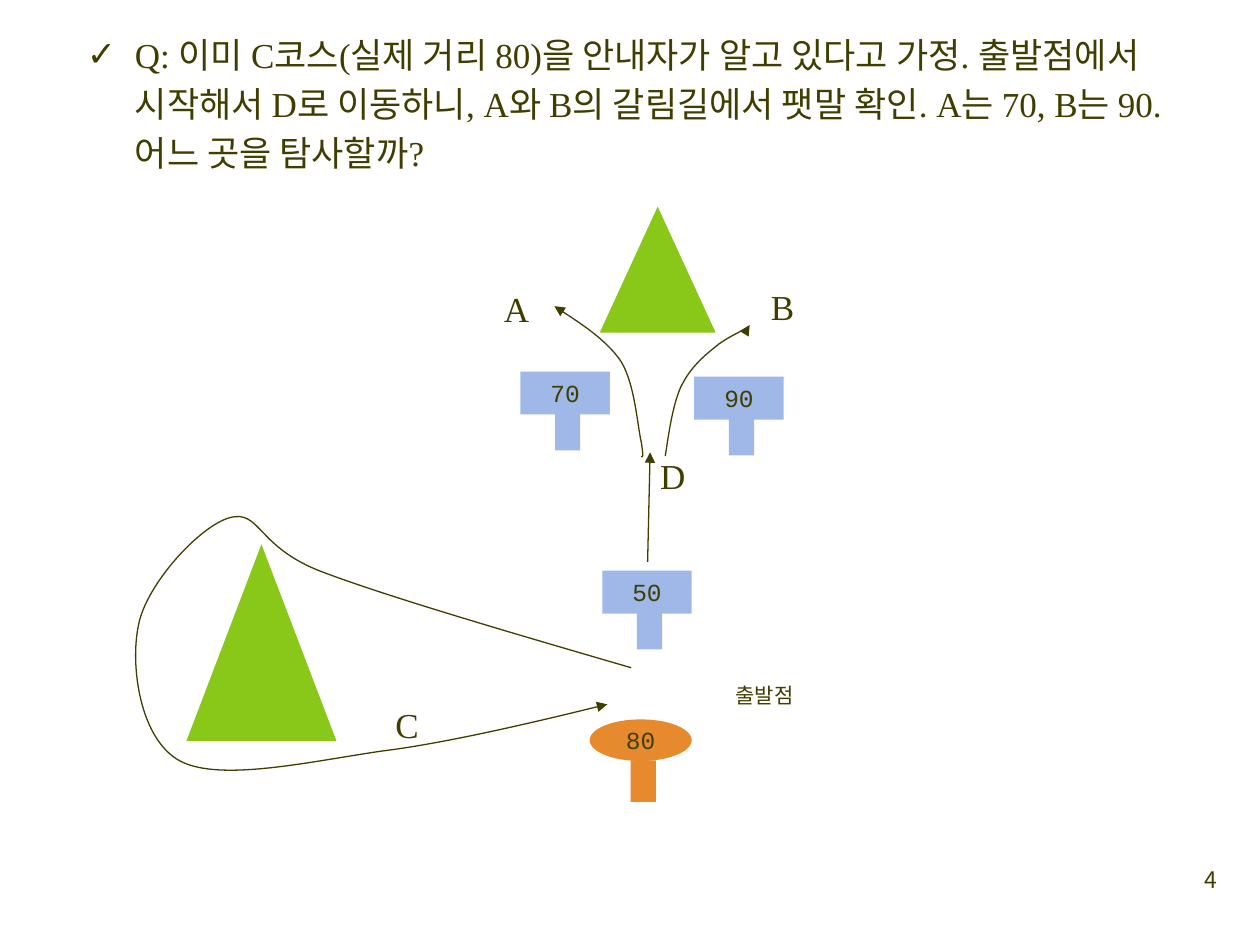
from lxml.etree import SubElement
from pptx import Presentation
from pptx.dml.color import RGBColor
from pptx.enum.shapes import MSO_CONNECTOR, MSO_SHAPE as Preset
from pptx.enum.text import MSO_ANCHOR as Anchor, MSO_AUTO_SIZE as AutoSize, PP_ALIGN as Align
from pptx.oxml.ns import qn
from pptx.util import Inches, Pt

INK, GREEN, BLUE, ORANGE = "3F3E00", "89C719", "9FB8E7", "E78A2D"
SERIF, MONO, KOREAN = "Times New Roman", "Courier New", "Noto Sans CJK KR"

QUESTION = (
    "Q: 이미 C코스(실제 거리 80)을 안내자가 알고 있다고 가정. "
    "출발점에서 시작해서 D로 이동하니, A와 B의 갈림길에서 팻말 확인. "
    "A는 70, B는 90. 어느 곳을 탐사할까?"
)
LABELS = [
    ("A", 3.9, 2.18, 0.41, 0.46, 20),
    ("B", 6.02, 2.16, 0.39, 0.46, 20),
    ("C", 3.04, 5.48, 0.39, 0.46, 20),
    ("D", 5.14, 3.5, 0.4, 0.46, 20),
    ("출발점", 5.74, 5.18, 0.71, 0.49, 12),
]
SIGNS = [("50", 4.78, 4.53), ("70", 4.13, 2.95), ("90", 5.51, 2.99)]
MOUNTAINS = [(4.76, 1.64, 0.92, 1), (1.48, 4.32, 1.19, 1.56)]
COURSE_C = [
    (5.01, 5.3), (4.05, 5.02), (3.09, 4.74), (2.56, 4.54),
    (2.03, 4.34), (2.07, 4.04), (1.82, 4.11), (1.58, 4.18), (1.16, 4.64), (1.1, 4.96),
    (1.03, 5.28), (1.11, 5.87), (1.43, 6.04), (1.75, 6.21), (2.48, 6.04), (3.04, 5.96),
    (3.61, 5.89), (4.82, 5.59), (4.82, 5.59),
]
COURSE_A = [
    (5.09, 3.62), (5.1, 3.63), (5.11, 3.64), (5.09, 3.51),
    (5.06, 3.39), (5.04, 3.05), (4.93, 2.87), (4.81, 2.69), (4.4, 2.43), (4.4, 2.43),
]
COURSE_B = [
    (5.28, 3.62), (5.31, 3.42), (5.34, 3.22), (5.4, 3.08),
    (5.47, 2.93), (5.57, 2.84), (5.67, 2.76), (5.76, 2.68), (5.91, 2.62), (5.95, 2.59),
    (6, 2.56), (5.98, 2.57), (5.95, 2.58),
]


def color(value):
    return RGBColor.from_string(value)


class SlideBuilder:
    def __init__(self, slide):
        self.slide = slide
        self.shapes = slide.shapes

    def add_text(self, paragraph, text, size, font=SERIF):
        run = paragraph.add_run()
        run.text = text
        run.font.size = Pt(size)
        run.font.name = font
        run.font.color.rgb = color(INK)
        SubElement(run.font._element, qn("a:ea"), typeface=KOREAN)

    def question(self, text, left, top, width, height):
        body = self.slide.placeholders[1]
        body.left, body.top = Inches(left), Inches(top)
        body.width, body.height = Inches(width), Inches(height)
        frame = body.text_frame
        frame.auto_size = AutoSize.NONE
        frame.vertical_anchor = Anchor.TOP
        paragraph = frame.paragraphs[0]
        paragraph.line_spacing = Pt(28)
        paragraph.space_before = Pt(0)
        properties = paragraph._p.get_or_add_pPr()
        properties.set("marL", str(Inches(0.38)))
        properties.set("indent", str(Inches(-0.38)))
        SubElement(properties, qn("a:buChar"), char="✓")
        self.add_text(paragraph, text, 20)

    def label(self, text, left, top, width, height, size):
        box = self.shapes.add_textbox(Inches(left), Inches(top), Inches(width), Inches(height))
        box.text_frame.word_wrap = False
        paragraph = box.text_frame.paragraphs[0]
        paragraph.line_spacing = Pt(28)
        self.add_text(paragraph, text, size)

    def page_number(self, text, left, top, width, height):
        box = self.shapes.add_textbox(Inches(left), Inches(top), Inches(width), Inches(height))
        frame = box.text_frame
        frame.word_wrap = False
        frame.margin_left = frame.margin_right = Inches(0.05)
        frame.paragraphs[0].alignment = Align.RIGHT
        self.add_text(frame.paragraphs[0], text, 13, KOREAN)

    def block(self, preset, left, top, width, height, fill, parent=None):
        shapes = parent.shapes if parent else self.shapes
        shape = shapes.add_shape(preset, Inches(left), Inches(top), Inches(width), Inches(height))
        shape.shadow.inherit = False
        shape.fill.solid()
        shape.fill.fore_color.rgb = color(fill)
        shape.line.fill.background()
        return shape

    def sign(self, text, preset, board, post, fill):
        group = self.shapes.add_group_shape()
        plate = self.block(preset, *board, fill, group)
        self.block(Preset.RECTANGLE, *post, 0.33, 0.2, fill, group).rotation = 90
        frame = plate.text_frame
        frame.word_wrap = True
        frame.vertical_anchor = Anchor.MIDDLE
        frame.margin_top = frame.margin_bottom = 0
        frame.paragraphs[0].alignment = Align.CENTER
        self.add_text(frame.paragraphs[0], text, 14, MONO)

    def arrow_style(self, shape):
        shape.line.color.rgb = color(INK)
        shape.line.width = Pt(0.75)
        SubElement(shape.line._get_or_add_ln(), qn("a:tailEnd"), type="triangle")

    def arrow(self, start, end):
        ends = [Inches(value) for value in (*start, *end)]
        connector = self.shapes.add_connector(MSO_CONNECTOR.STRAIGHT, *ends)
        self.arrow_style(connector)
        SubElement(connector._element.spPr, qn("a:effectLst"))

    def curve(self, points):
        start, *rest = [(Inches(x), Inches(y)) for x, y in points]
        builder = self.shapes.build_freeform(*start)
        builder.add_line_segments(rest, close=False)
        shape = builder.convert_to_shape()
        shape.shadow.inherit = False
        shape.fill.background()
        self.arrow_style(shape)
        outline = next(shape._element.iter(qn("a:path")))
        lines = outline.findall(qn("a:lnTo"))
        for index, line in enumerate(lines):
            if index % 3 == 0:
                bezier = SubElement(outline, qn("a:cubicBezTo"))
            bezier.append(line[0])
            outline.remove(line)


def main():
    presentation = Presentation()
    presentation.slide_width, presentation.slide_height = Inches(10), Inches(7.5)
    slide = presentation.slides.add_slide(presentation.slide_layouts[1])
    title = slide.shapes.title._element
    title.getparent().remove(title)

    builder = SlideBuilder(slide)
    builder.question(QUESTION, 0.59, 0.16, 8.98, 1.28)
    for mountain in MOUNTAINS:
        builder.block(Preset.ISOSCELES_TRIANGLE, *mountain, GREEN)
    for course in (COURSE_C, COURSE_A, COURSE_B):
        builder.curve(course)
    builder.arrow((5.14, 4.46), (5.16, 3.59))
    for text, left, top in SIGNS:
        board, post = (left, top, 0.71, 0.34), (left + 0.21, top + 0.36)
        builder.sign(text, Preset.RECTANGLE, board, post, BLUE)
    builder.sign("80", Preset.OVAL, (4.68, 5.71, 0.81, 0.33), (4.94, 6.1), ORANGE)
    for label in LABELS:
        builder.label(*label)
    builder.page_number("4", 9.47, 6.82, 0.24, 0.5)
    presentation.save("out.pptx")


if __name__ == "__main__":
    main()
